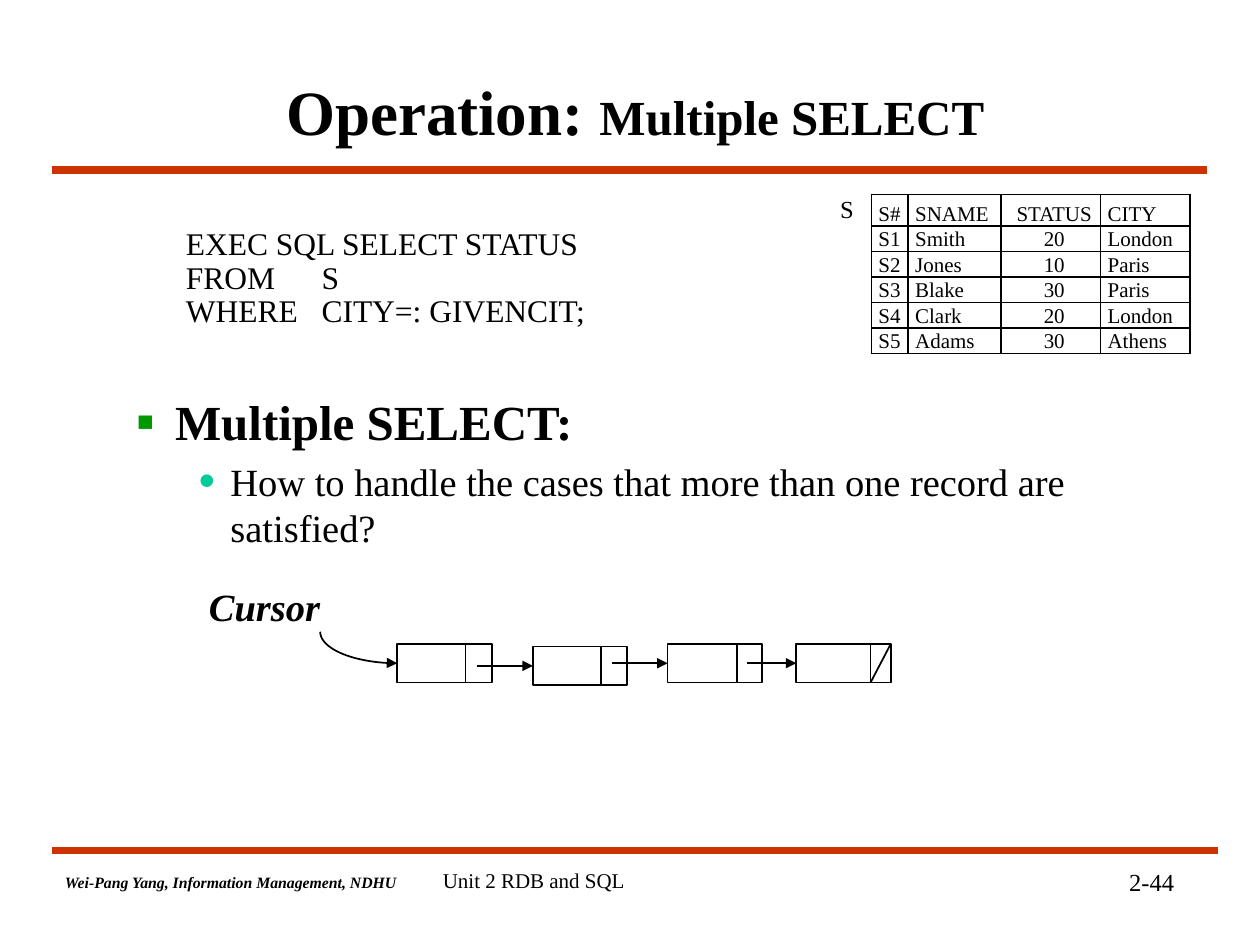
from lxml.etree import SubElement
from pptx import Presentation
from pptx.dml.color import RGBColor
from pptx.enum.shapes import MSO_CONNECTOR as Connector, MSO_SHAPE as Shape
from pptx.enum.text import MSO_ANCHOR as Anchor, MSO_AUTO_SIZE as AutoSize, PP_ALIGN as Align
from pptx.oxml import parse_xml
from pptx.oxml.ns import nsdecls, qn
from pptx.util import Pt

COLORS = {"rule": "CC3300", "ink": "000000", "square": "009900", "dot": "00CC99"}
FONT = "Times New Roman"

TITLE = [("Operation: ", 36), ("Multiple SELECT", 28)]
BODY = [
    dict(text="Multiple SELECT:", level=0, size=28, bold=True, left=58.3, hang=22.3,
         before=0, bullet=("▪", "square", 110)),
    dict(text="How to handle the cases that more than one record are satisfied?", level=1,
         size=22, left=90, hang=18, before=4.4, bullet=("•", "dot", 120)),
    dict(text="Cursor", level=1, size=22, bold=True, italic=True, left=77.7, hang=0,
         before=18.5, bullet=None),
]
QUERY = ["EXEC SQL SELECT STATUS", "FROM\tS", "WHERE\tCITY=: GIVENCIT;"]
SUPPLIERS = [
    ("S#", "SNAME", "STATUS", "CITY"),
    ("S1", "Smith", "20", "London"),
    ("S2", "Jones", "10", "Paris"),
    ("S3", "Blake", "30", "Paris"),
    ("S4", "Clark", "20", "London"),
    ("S5", "Adams", "30", "Athens"),
]
COLUMN_WIDTHS = [21, 53, 57, 51]
ROW_HEIGHTS = [18] + [14.6] * 5
LABELS = [
    ("2-44", (528, 492, 150, 36), dict(size=14), Align.RIGHT),
    ("Wei-Pang Yang, Information Management, NDHU", (30, 495.4, 233, 18),
     dict(size=9, bold=True, italic=True), Align.LEFT),
    ("Unit 2 RDB and SQL", (246, 492, 228, 36), dict(size=12), Align.LEFT),
    ("S", (473, 107.3, 23, 24), dict(size=14), Align.LEFT),
]
RULES = [(30, 97.2, 690, 97.2), (30, 486, 696, 486)]
NODES = [(227, 368, 39), (304.5, 369.5, 39), (381.5, 368, 39.5), (455, 368, 42.5)]
NODE_WIDTH, NODE_HEIGHT, POINTER_OFFSET = 54, 22, 45.5
CURSOR_START = (183, 361)


def color(name):
    return RGBColor.from_string(COLORS[name])


def set_values(target, values):
    for name, value in values.items():
        setattr(target, name, value)


def add_run(paragraph, text, size, bold=False, italic=False):
    run = paragraph.add_run()
    run.text = text
    set_values(run.font, dict(name=FONT, size=Pt(size), bold=bold, italic=italic))
    run.font.color.rgb = color("ink")


def place(shape, *box):
    set_values(shape, dict(zip(("left", "top", "width", "height"), map(Pt, box))))


def add_text_box(box):
    frame = shapes.add_textbox(*map(Pt, box)).text_frame
    frame.word_wrap = True
    return frame


def style_line(shape, name="ink", width=1, arrow=False):
    shape.line.color.rgb = color(name)
    shape.line.width = Pt(width)
    if arrow:
        SubElement(shape.line._get_or_add_ln(), qn("a:tailEnd"), type="triangle")


def add_line(points, **style):
    line = shapes.add_connector(Connector.STRAIGHT, *map(Pt, points))
    style_line(line, **style)
    SubElement(line._element.spPr, qn("a:effectLst"))
    return line


def set_bullet(paragraph, left, hang, bullet):
    properties = paragraph._p.get_or_add_pPr()
    properties.set("marL", str(Pt(left)))
    properties.set("indent", str(-Pt(hang)))
    if bullet is None:
        SubElement(properties, qn("a:buNone"))
        return
    character, name, percent = bullet
    SubElement(SubElement(properties, qn("a:buClr")), qn("a:srgbClr"), val=COLORS[name])
    SubElement(properties, qn("a:buSzPct"), val=str(percent * 1000))
    SubElement(properties, qn("a:buFont"), typeface="Arial")
    SubElement(properties, qn("a:buChar"), char=character)


def add_borders(cell):
    properties = cell._tc.get_or_add_tcPr()
    for index, side in enumerate(("lnL", "lnR", "lnT", "lnB")):
        properties.insert(index, parse_xml(
            f'<a:{side} {nsdecls("a")} w="{Pt(1)}"><a:solidFill>'
            f'<a:srgbClr val="{COLORS["ink"]}"/></a:solidFill></a:{side}>'))


def add_suppliers():
    table = shapes.add_table(len(SUPPLIERS), len(COLUMN_WIDTHS), Pt(498), Pt(111),
                             Pt(sum(COLUMN_WIDTHS)), Pt(sum(ROW_HEIGHTS))).table
    set_values(table, dict(first_row=False, horz_banding=False))
    for column, width in zip(table.columns, COLUMN_WIDTHS):
        column.width = Pt(width)
    for row, height, values in zip(table.rows, ROW_HEIGHTS, SUPPLIERS):
        row.height = Pt(height)
        for cell, value in zip(row.cells, values):
            set_values(cell, dict(margin_left=Pt(4), margin_right=0, margin_top=0,
                                  margin_bottom=0, vertical_anchor=Anchor.BOTTOM))
            cell.fill.background()
            add_borders(cell)
            paragraph = cell.text_frame.paragraphs[0]
            paragraph.alignment = Align.CENTER if cell is None or value in ("STATUS", "10", "20", "30") else Align.LEFT
            add_run(paragraph, value, 12)


def add_list():
    boxes = []
    for left, top, divider in NODES:
        box = shapes.add_shape(Shape.RECTANGLE, *map(Pt, (left, top, NODE_WIDTH, NODE_HEIGHT)))
        box.shadow.inherit = False
        box.fill.background()
        style_line(box)
        boxes.append(box)
        add_line((left + divider, top, left + divider, top + NODE_HEIGHT))
    add_line((left + NODE_WIDTH, top, left + divider, top + NODE_HEIGHT))
    for (start, _, _), (end, top, _), target in zip(NODES, NODES[1:], boxes[1:]):
        middle = top + NODE_HEIGHT / 2
        arrow = add_line((start + POINTER_OFFSET, middle, end, middle), arrow=True)
        arrow.end_connect(target, 1)


def add_cursor_curve(steps=24):
    x, y = CURSOR_START
    width = NODES[0][0] - x
    height = NODES[0][1] + NODE_HEIGHT / 2 - y
    points = []
    for step in range(steps + 1):
        t = step / steps
        across = 3 * 0.45 * (1 - t) * t ** 2 + t ** 3
        down = 3 * 0.55 * (1 - t) ** 2 * t + 3 * (1 - t) * t ** 2 + t ** 3
        points.append((Pt(x + width * across), Pt(y + height * down)))
    builder = shapes.build_freeform(*points[0])
    builder.add_line_segments(points[1:], close=False)
    curve = builder.convert_to_shape()
    curve.shadow.inherit = False
    curve.fill.background()
    style_line(curve, arrow=True)


presentation = Presentation()
set_values(presentation, dict(slide_width=Pt(720), slide_height=Pt(540)))
slide = presentation.slides.add_slide(presentation.slide_layouts[1])
shapes = slide.shapes

for rule in RULES:
    add_line(rule, name="rule", width=4.5)

title = shapes.title
place(title, 66, 30, 594, 66)
set_values(title.text_frame, dict(vertical_anchor=Anchor.MIDDLE, auto_size=AutoSize.NONE))
title.text_frame.paragraphs[0].alignment = Align.CENTER
for text, size in TITLE:
    add_run(title.text_frame.paragraphs[0], text, size, bold=True)

body = slide.placeholders[1]
place(body, 34.5, 220, 660, 265)
body.text_frame.auto_size = AutoSize.NONE
for index, item in enumerate(BODY):
    paragraph = body.text_frame.add_paragraph() if index else body.text_frame.paragraphs[0]
    set_values(paragraph, dict(level=item["level"], space_before=Pt(item["before"])))
    set_bullet(paragraph, item["left"], item["hang"], item["bullet"])
    add_run(paragraph, item["text"], item["size"], item.get("bold", False), item.get("italic", False))

query = add_text_box((106.3, 130, 260, 60))
set_values(query, dict(margin_left=0, margin_right=0, margin_top=0, margin_bottom=0))
for index, text in enumerate(QUERY):
    paragraph = query.add_paragraph() if index else query.paragraphs[0]
    paragraph.line_spacing = Pt(19.4)
    tabs = SubElement(paragraph._p.get_or_add_pPr(), qn("a:tabLst"))
    SubElement(tabs, qn("a:tab"), pos=str(Pt(77.5)), algn="l")
    add_run(paragraph, text, 18)

for text, box, font, alignment in LABELS:
    paragraph = add_text_box(box).paragraphs[0]
    paragraph.alignment = alignment
    add_run(paragraph, text, **font)

add_suppliers()
add_list()
add_cursor_curve()
presentation.save("out.pptx")
